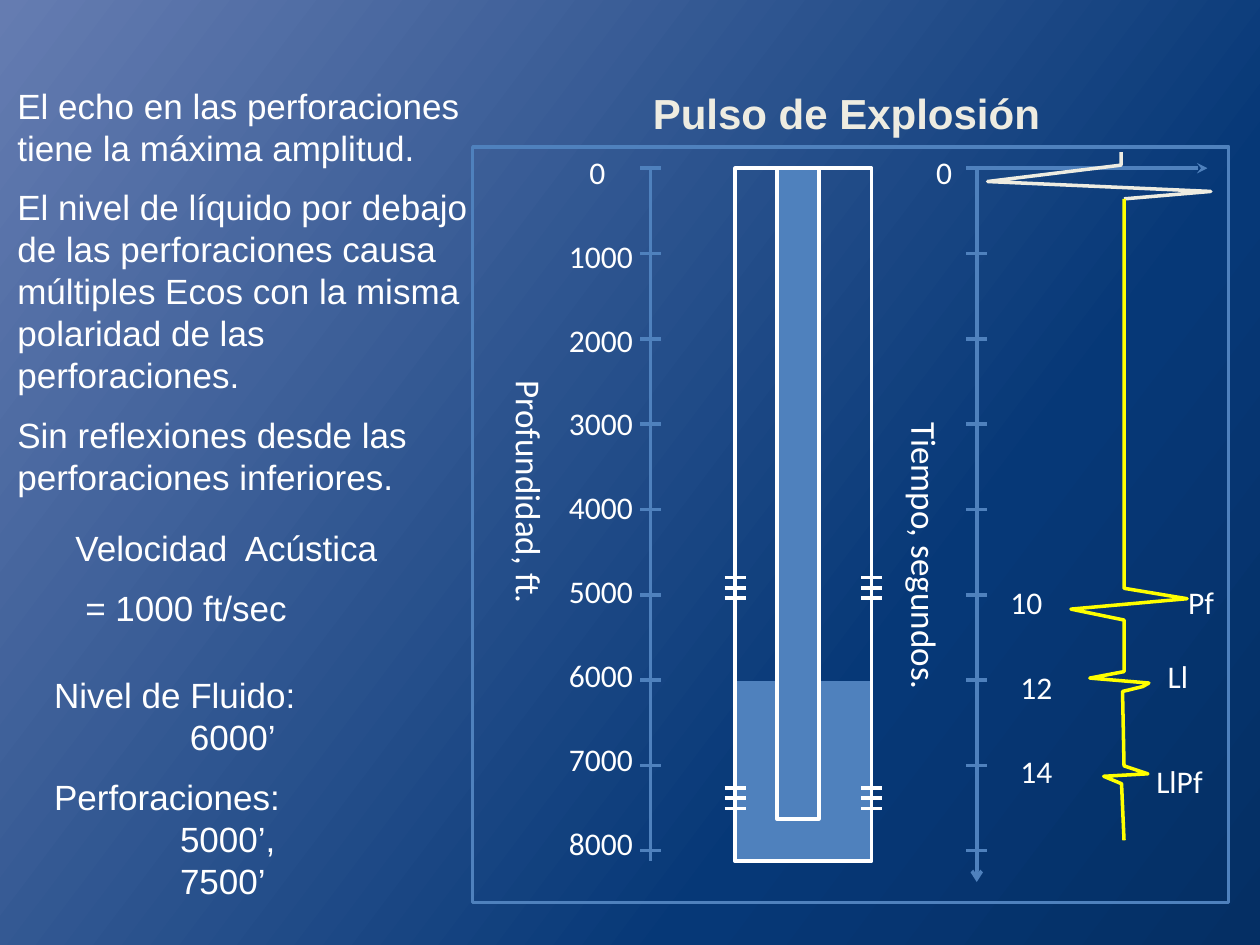
from copy import deepcopy

from pptx import Presentation
from pptx.dml.color import RGBColor
from pptx.enum.shapes import MSO_CONNECTOR, MSO_SHAPE
from pptx.enum.text import MSO_ANCHOR, PP_ALIGN
from pptx.oxml.ns import qn
from pptx.util import Cm, Pt

STRAIGHT = MSO_CONNECTOR.STRAIGHT
RECTANGLE = MSO_SHAPE.RECTANGLE
CENTER = PP_ALIGN.CENTER
MIDDLE = MSO_ANCHOR.MIDDLE

WHITE, CREAM, BLUE, YELLOW = "FFFFFF", "EEECE1", "4F81BD", "FFFF00"
GRADIENT = [(0, "052F64"), (0.3, "063877"), (1, "657CB1")]

# Lengths below are in centimetres.
SURFACE = 3.39
TICK_COUNT, TICK_STEP, TICK_HALF = 9, 1.72, 0.21
LABEL_TOP, LABEL_STEP = 2.96, 1.69
DEPTH_X, TIME_X = 13.11, 19.69
CASING_LEFT, CASING_WIDTH, WELL_BOTTOM = 14.82, 2.75, 17.36
INDENT = 1.27
PARAGRAPH_GAP = 10

NOTES = [
    "El echo en las perforaciones tiene la máxima amplitud.",
    "El nivel de líquido por debajo de las perforaciones causa "
    "múltiples Ecos con la misma polaridad de las perforaciones.",
    "Sin reflexiones desde las perforaciones inferiores.",
]
# (text, indent in cm, space before in points)
VELOCITY = [("Velocidad  Acústica", INDENT, 0),
            ("= 1000 ft/sec", 1.47, PARAGRAPH_GAP)]
WELL_DATA = [("Nivel de Fluido:", 0, 0), ("6000’", 2.74, 0),
             ("Perforaciones:", 0, PARAGRAPH_GAP),
             ("5000’,", 2.54, 0), ("7500’", 2.54, 0)]
# (text, left, top)
TRACE_LABELS = [
    ("0", 17.35, LABEL_TOP),
    ("10", 18.85, 11.63), ("12", 19.05, 13.34), ("14", 19.05, 15.04),
    ("Pf", 22.43, 11.63), ("Ll", 22.02, 13.13), ("LlPf", 21.79, 15.24),
]
BLAST = [(22.6, 3.07), (22.6, 3.33), (19.91, 3.66), (24.41, 3.86),
         (22.66, 4.01)]
ECHOES = [
    (22.66, 4.01), (22.66, 11.86), (23.93, 12.07), (21.59, 12.28),
    (22.66, 12.5), (22.66, 13.54), (21.97, 13.67), (23.16, 13.77),
    (23.04, 13.84), (22.63, 13.94), (22.66, 15.44), (23.14, 15.6),
    (22.25, 15.65), (22.61, 15.8), (22.66, 16.94),
]


def rgb(color):
    return RGBColor.from_string(color)


def paint_background(slide):
    fill = slide.background.fill
    fill.gradient()
    fill.gradient_angle = 143
    stop_list = next(slide.element.iter(qn("a:gsLst")))
    stop_list.append(deepcopy(stop_list[0]))
    for stop, (position, color) in zip(fill.gradient_stops, GRADIENT):
        stop.position = position
        stop.color.rgb = rgb(color)


def style_outline(shape, color, fill=None):
    shape.shadow.inherit = False
    if fill:
        shape.fill.solid()
        shape.fill.fore_color.rgb = rgb(fill)
    else:
        shape.fill.background()
    shape.line.color.rgb = rgb(color)
    shape.line.width = Pt(2)


def add_box(shapes, left, top, width, height, color, fill=None):
    box = shapes.add_shape(RECTANGLE, Cm(left), Cm(top), Cm(width), Cm(height))
    style_outline(box, color, fill)


def add_trace(shapes, points, color):
    (start_x, start_y), *rest = [(Cm(x), Cm(y)) for x, y in points]
    builder = shapes.build_freeform(start_x, start_y)
    builder.add_line_segments(rest, close=False)
    style_outline(builder.convert_to_shape(), color)


def add_line(shapes, x1, y1, x2, y2, color, arrow=None):
    line = shapes.add_connector(STRAIGHT, Cm(x1), Cm(y1), Cm(x2), Cm(y2))
    line.line.color.rgb = rgb(color)
    line.line.width = Pt(2)
    properties = line.element.spPr
    if arrow:
        outline = properties.find(qn("a:ln"))
        tail = outline.makeelement(qn("a:tailEnd"), {"type": arrow})
        outline.append(tail)
    properties.append(properties.makeelement(qn("a:effectLst"), {}))


def add_ticks(shapes, x, top, count, step, color):
    for i in range(count):
        y = top + i * step
        add_line(shapes, x - TICK_HALF, y, x + TICK_HALF, y, color)


def add_text(shapes, left, top, width, height, paragraphs, size=20,
             font="Arial", color=WHITE):
    """Add a text box; each paragraph is (text, indent, space before)."""
    box = shapes.add_textbox(Cm(left), Cm(top), Cm(width), Cm(height))
    frame = box.text_frame
    frame.word_wrap = True
    for i, (text, indent, gap) in enumerate(paragraphs):
        paragraph = frame.add_paragraph() if i else frame.paragraphs[0]
        paragraph.text = text
        paragraph.space_before = Pt(gap)
        paragraph.font.size = Pt(size)
        paragraph.font.name = font
        paragraph.font.color.rgb = rgb(color)
        if indent:
            paragraph._p.get_or_add_pPr().set("marL", str(Cm(indent)))
    return box


def add_label(shapes, text, left, top, width=2.75):
    add_text(shapes, left, top, width, 0.86, [(text, INDENT, 0)], 18, "Calibri")


def add_axis_title(shapes, text, left, top, width):
    title = add_text(shapes, left, top, width, 1.12, [(text, INDENT, 0)],
                     font="Calibri")
    title.rotation = 90


def add_well(shapes):
    add_box(shapes, CASING_LEFT, 13.76, CASING_WIDTH, WELL_BOTTOM - 13.76,
            BLUE, BLUE)
    add_box(shapes, 9.53, 2.96, 15.24, 15.24, BLUE)
    add_box(shapes, CASING_LEFT, SURFACE, CASING_WIDTH, WELL_BOTTOM - SURFACE,
            WHITE)
    add_box(shapes, 15.66, SURFACE, 0.85, 13.12, WHITE, BLUE)
    for wall in (CASING_LEFT, CASING_LEFT + CASING_WIDTH):
        for top in (11.64, 15.88):
            perforation = shapes.add_group_shape()
            add_ticks(perforation.shapes, wall, top, 3, 0.21, WHITE)


def add_axes(shapes):
    depth_axis = shapes.add_group_shape().shapes
    add_line(depth_axis, DEPTH_X, SURFACE, DEPTH_X, WELL_BOTTOM, BLUE)
    add_line(shapes, TIME_X, SURFACE, TIME_X, 17.78, BLUE, "arrow")
    add_line(shapes, TIME_X, SURFACE, 24.34, SURFACE, BLUE, "stealth")
    for target, x in ((depth_axis, DEPTH_X), (shapes, TIME_X)):
        add_ticks(target, x, SURFACE, TICK_COUNT, TICK_STEP, BLUE)
    add_axis_title(shapes, "Profundidad, ft.", 6.76, 9.5, 7.82)
    add_axis_title(shapes, "Tiempo, segundos.", 14.83, 10.24, 7.62)
    for i in range(TICK_COUNT):
        left = 9.95 if i else 10.36
        add_label(shapes, str(i * 1000), left, LABEL_TOP + i * LABEL_STEP, 3.18)


def main():
    presentation = Presentation()
    presentation.slide_width, presentation.slide_height = Cm(25.4), Cm(19.05)
    slide = presentation.slides.add_slide(presentation.slide_layouts[6])
    shapes = slide.shapes
    paint_background(slide)

    add_well(shapes)
    add_axes(shapes)
    add_trace(shapes, BLAST, CREAM)
    add_trace(shapes, ECHOES, YELLOW)
    for text, left, top in TRACE_LABELS:
        add_label(shapes, text, left, top)

    notes = [(text, 0, PARAGRAPH_GAP if i else 0)
             for i, text in enumerate(NOTES)]
    add_text(shapes, 0.1, 1.57, 9.93, 8.81, notes)
    add_text(shapes, 0, 10.49, 9.12, 2.39, VELOCITY)
    add_text(shapes, 0.84, 13.46, 7.82, 5.21, WELL_DATA)

    title = add_text(shapes, 11.3, 1.57, 11.53, 1.4,
                     [("Pulso de Explosión", 0, 0)], 24, color=CREAM)
    title.text_frame.vertical_anchor = MIDDLE
    title.text_frame.paragraphs[0].alignment = CENTER
    title.text_frame.paragraphs[0].font.bold = True
    presentation.save("out.pptx")


if __name__ == "__main__":
    main()
